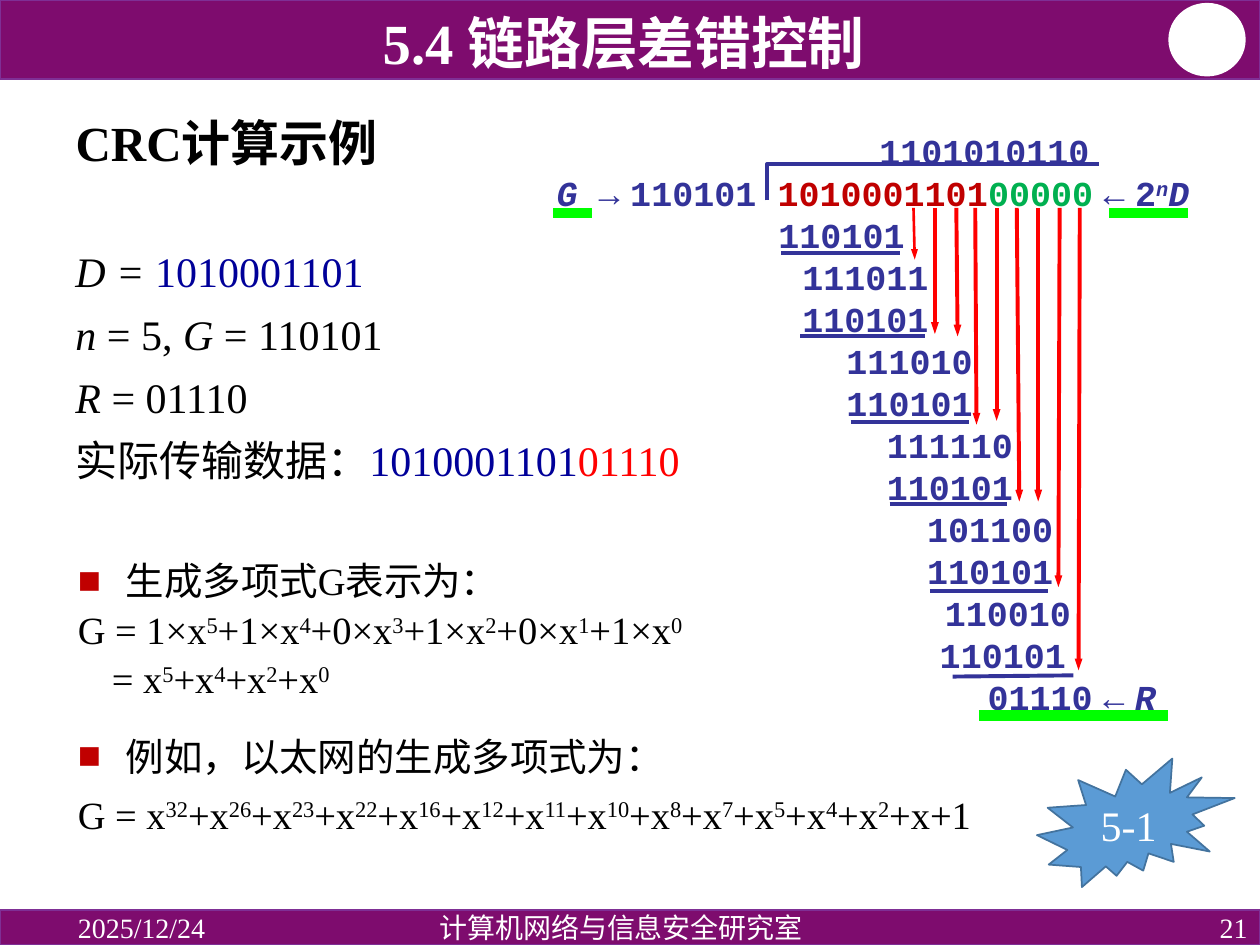
from typing import NamedTuple

from lxml import etree
from pptx import Presentation
from pptx.dml.color import RGBColor
from pptx.enum.shapes import MSO_CONNECTOR, MSO_SHAPE
from pptx.enum.text import MSO_ANCHOR, PP_ALIGN
from pptx.oxml.ns import qn
from pptx.util import Inches, Pt

LEFT, MID, RIGHT = PP_ALIGN.LEFT, PP_ALIGN.CENTER, PP_ALIGN.RIGHT
TOP, CORE, BASE = MSO_ANCHOR.TOP, MSO_ANCHOR.MIDDLE, MSO_ANCHOR.BOTTOM
RECT, OVAL, BURST = MSO_SHAPE.RECTANGLE, MSO_SHAPE.OVAL, MSO_SHAPE.EXPLOSION2
SERIF, MONO, HAN = "Times New Roman", "Courier New", "Noto Sans CJK SC"
INK = {
    "plum": "7E0C6E", "edge": "7F2F95", "white": "FFFFFF", "black": "000000",
    "navy": "000099", "red": "FF0000", "brick": "C00000", "leaf": "00B050",
    "violet": "333399", "lime": "00FF00", "blue": "5B9BD5", "rim": "43739E",
}


class Bit(NamedTuple):
    text: str
    ink: str = ""
    slant: bool = False
    size: float = 0
    sup: bool = False


class Look(NamedTuple):
    size: float
    ink: str = "black"
    face: str = SERIF
    bold: bool = False
    align: PP_ALIGN = LEFT
    lead: float | Pt = 1.0
    gap: float = 0


class Row(NamedTuple):
    bits: list[Bit]
    left: float = 0
    mark: bool = False


class Rule(NamedTuple):
    x1: float
    y1: float
    x2: float
    y2: float
    ink: str
    width: float = 2.25
    head: bool = False


def tint(name: str) -> RGBColor:
    return RGBColor.from_string(INK[name])


def powers(text: str) -> list[Bit]:
    return [Bit(part, sup=i % 2 == 1) for i, part in enumerate(text.split("|"))]


def add_mark(props) -> None:
    tone = etree.SubElement(props, qn("a:buClr"))
    etree.SubElement(tone, qn("a:srgbClr"), val=INK["brick"])
    etree.SubElement(props, qn("a:buFont"), typeface=SERIF)
    etree.SubElement(props, qn("a:buChar"), char="■")


def write(frame, rows: list[Row], look: Look, anchor=TOP, pad: float = 0.05) -> None:
    frame.word_wrap = True
    frame.vertical_anchor = anchor
    frame.margin_left = frame.margin_right = Inches(0.1)
    frame.margin_top = frame.margin_bottom = Inches(pad)
    for i, row in enumerate(rows):
        para = frame.add_paragraph() if i else frame.paragraphs[0]
        para.alignment, para.line_spacing = look.align, look.lead
        para.space_before = Pt(look.gap if i else 0)
        props = para._p.get_or_add_pPr()
        props.set("marL", str(Inches(row.left)))
        props.set("indent", str(Inches(-row.left if row.mark else 0)))
        if row.mark:
            add_mark(props)
        font = para.font
        font.name, font.size, font.bold = look.face, Pt(look.size), look.bold
        font.color.rgb = tint(look.ink)
        if look.face != MONO:
            east = etree.SubElement(font._element, qn("a:ea"))
            east.set("typeface", HAN)
        for bit in row.bits:
            run = para.add_run()
            run.text = bit.text
            if bit.ink:
                run.font.color.rgb = tint(bit.ink)
            if bit.slant:
                run.font.italic = True
            if bit.size:
                run.font.size = Pt(bit.size)
            if bit.sup:
                run._r.get_or_add_rPr().set("baseline", "30000")


def add_text(slide, box: tuple, rows: list[Row], look: Look, anchor=TOP, pad: float = 0.05) -> None:
    shape = slide.shapes.add_textbox(*map(Inches, box))
    write(shape.text_frame, rows, look, anchor, pad)


def add_form(slide, kind, box: tuple, fill: str, edge: str):
    form = slide.shapes.add_shape(kind, *map(Inches, box))
    form.shadow.inherit = False
    form.fill.solid()
    form.fill.fore_color.rgb = tint(fill)
    form.line.color.rgb = tint(edge)
    form.line.width = Pt(1)
    return form


def add_rule(slide, rule: Rule) -> None:
    line = slide.shapes.add_connector(MSO_CONNECTOR.STRAIGHT, *map(Inches, rule[:4]))
    line.line.color.rgb = tint(rule.ink)
    line.line.width = Pt(rule.width)
    if rule.head:
        etree.SubElement(line.line._get_or_add_ln(), qn("a:tailEnd"),
                         type="triangle", w="sm", len="med")
    etree.SubElement(line._element.spPr, qn("a:effectLst"))


def add_sum(slide) -> None:
    edge = 3.49
    steps = [
        (6.18, "110101"), (6.37, "111011"), (6.37, "110101"), (6.72, "111010"),
        (6.72, "110101"), (7.04, "111110"), (7.04, "110101"), (7.36, "101100"),
        (7.36, "110101"), (7.5, "110010"), (7.46, "110101"),
    ]
    thin = Bit(" ", size=10)
    top = [Bit("G ", slant=True), Bit("→"), thin, Bit("110101 "),
           Bit("1010001101", "brick"), Bit("00000", "leaf"), thin, Bit("←"), thin,
           Bit("2"), Bit("n", slant=True, sup=True), Bit("D", slant=True)]
    rest = [Bit("01110"), thin, Bit("←"), thin, Bit("R", slant=True)]
    rows = [Row([Bit("1101010110")], 6.98 - edge), Row(top, 4.42 - edge)]
    rows += [Row([Bit(text)], x - edge) for x, text in steps]
    rows.append(Row(rest, 7.84 - edge))
    look = Look(20, "violet", MONO, True, lead=Pt(24))
    add_text(slide, (3.39, 0.98, 6.6, 4.77), rows, look)

    pen = slide.shapes.build_freeform(Inches(6.09), Inches(1.59))
    pen.add_line_segments([(Inches(6.09), Inches(1.3)), (Inches(8.72), Inches(1.3))], close=False)
    frame = pen.convert_to_shape()
    frame.shadow.inherit = False
    frame.fill.background()
    frame.line.color.rgb = tint("violet")
    frame.line.width = Pt(2.25)

    drops = [(7.25, 7.26, 2.06), (7.42, 7.42, 2.65), (7.59, 7.6, 2.67),
             (7.74, 7.75, 3.37), (7.91, 7.91, 3.34), (8.07, 8.09, 3.98),
             (8.24, 8.24, 3.98), (8.41, 8.4, 4.66), (8.57, 8.56, 5.32)]
    for i, (x1, x2, y) in enumerate(drops):
        add_rule(slide, Rule(x1, 1.65, x2, y, "red", 2.25 if i else 1.5, True))
    bars = [(6.2, 7.14, 2.01), (6.35, 7.34, 2.67), (6.75, 7.69, 3.35),
            (7.06, 7.99, 4), (7.38, 8.32, 4.69)]
    for x1, x2, y in bars:
        add_rule(slide, Rule(x1, y, x2, y, "violet"))
    add_rule(slide, Rule(7.56, 5.37, 8.52, 5.36, "violet"))
    for x1, x2, y in [(7.77, 9.27, 5.68), (8.8, 9.43, 1.69), (4.39, 4.7, 1.69)]:
        add_rule(slide, Rule(x1, y, x2, y, "lime", 6))


def main() -> None:
    deck = Presentation()
    deck.slide_width, deck.slide_height = Inches(10), Inches(7.5)
    slide = deck.slides.add_slide(deck.slide_layouts[5])

    add_form(slide, RECT, (0, 0, 10, 0.63), "plum", "edge")
    add_form(slide, OVAL, (9.28, 0.03, 0.6, 0.57), "white", "white")
    add_form(slide, RECT, (0, 7.22, 10, 0.28), "plum", "edge")
    foot = [((0.52, 7.22, 2.25, 0.28), "2025/12/24", LEFT),
            ((2.69, 7.22, 4.48, 0.28), "计算机网络与信息安全研究室", MID),
            ((7.75, 7.22, 2.25, 0.28), "21", RIGHT)]
    for box, text, side in foot:
        add_text(slide, box, [Row([Bit(text)])], Look(16, "white", align=side), CORE, 0)
    add_text(slide, (0.67, 0.04, 8.56, 0.56), [Row([Bit("5.4 链路层差错控制")])],
             Look(32.4, "white", bold=True, align=MID, lead=0.8), BASE, 0)

    title = slide.shapes.title
    title.left, title.top, title.width, title.height = map(Inches, (0.5, 0.67, 9.06, 0.97))
    write(title.text_frame, [Row([Bit("CRC计算示例")])], Look(28, bold=True, lead=0.9), CORE)

    facts = [
        Row([Bit("D = ", slant=True), Bit("1010001101", "navy")]),
        Row([Bit("n ", slant=True), Bit("= 5, "), Bit("G ", slant=True), Bit("= 110101")]),
        Row([Bit("R", slant=True), Bit(" = 01110")]),
        Row([Bit("实际传输数据："), Bit("1010001101", "navy"), Bit("01110", "red")]),
    ]
    add_text(slide, (0.5, 1.94, 5.38, 2.14), facts, Look(24, lead=Pt(26), gap=10))
    add_sum(slide)

    form = [
        Row([Bit("生成多项式G表示为：")], 0.38, True),
        Row(powers("G = 1×x|5|+1×x|4|+0×x|3|+1×x|2|+0×x|1|+1×x|0")),
        Row(powers("= x|5|+x|4|+x|2|+x|0"), 0.27),
    ]
    add_text(slide, (0.52, 4.35, 5.94, 1.25), form, Look(22, lead=Pt(28)))
    terms = "|+x|".join("32 26 23 22 16 12 11 10 8 7 5 4 2".split())
    ether = [Row([Bit("例如，以太网的生成多项式为：")], 0.38, True),
             Row(powers(f"G = x|{terms}|+x+1"))]
    add_text(slide, (0.52, 5.8, 7.8, 0.92), ether, Look(22, lead=Pt(24), gap=9))

    burst = add_form(slide, BURST, (8.23, 6.02, 1.57, 1.02), "blue", "rim")
    write(burst.text_frame, [Row([Bit("5-1")])], Look(24, "white", align=MID), CORE)
    deck.save("out.pptx")


if __name__ == "__main__":
    main()
